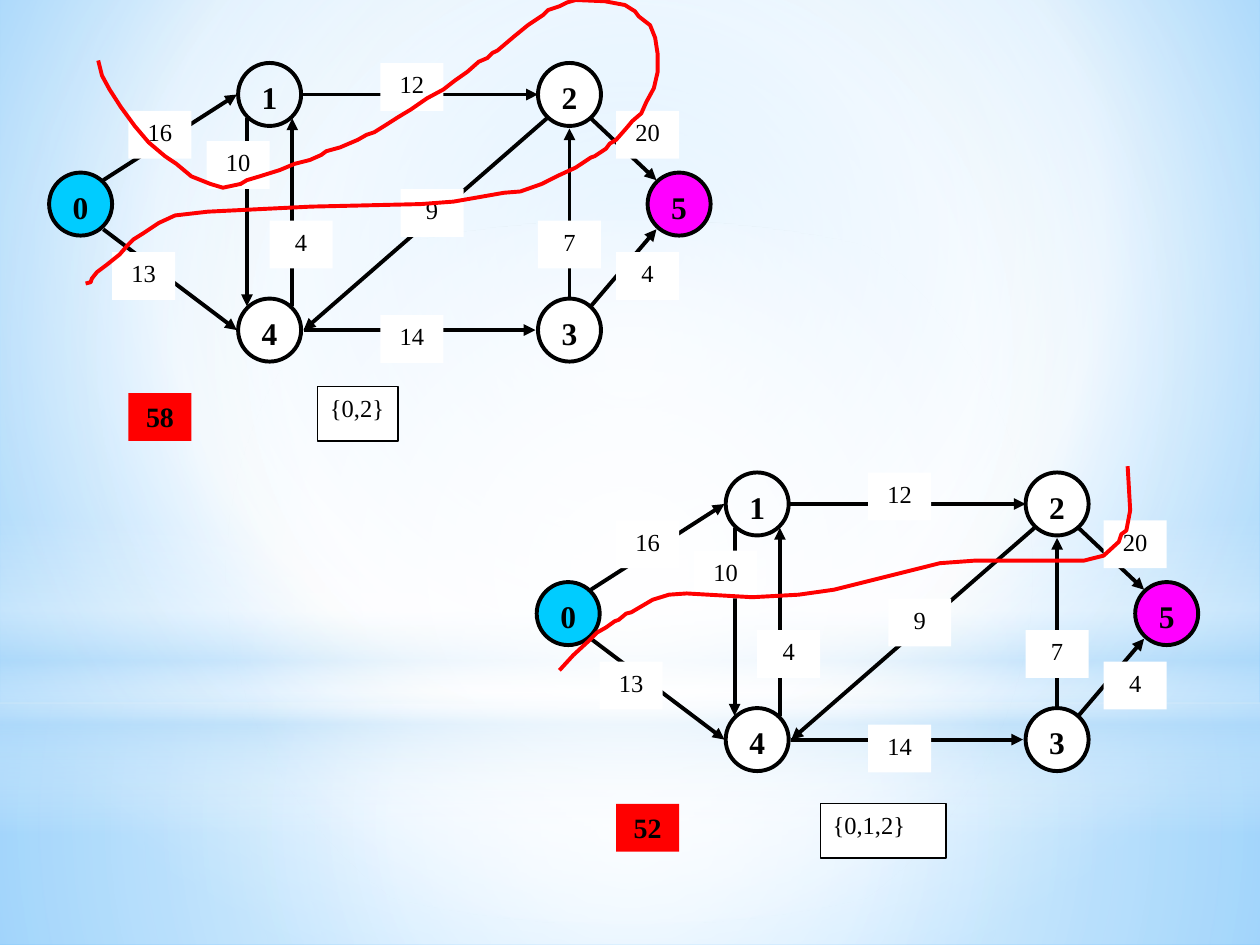
from lxml import etree
from pptx import Presentation
from pptx import util as u
from pptx.dml.color import RGBColor
from pptx.enum import shapes, text
from pptx.oxml import ns

OVAL = shapes.MSO_SHAPE.OVAL
RECT = shapes.MSO_SHAPE.RECTANGLE
BLACK, WHITE, RED, PALE = "000000", "FFFFFF", "FF0000", "B4DCFA"


def color(code):
    return RGBColor.from_string(code)


def add(parent, tag, **attrs):
    return etree.SubElement(parent, ns.qn(tag), {k: str(v) for k, v in attrs.items()})


class Board:
    font = "Times New Roman"
    width = 2.25

    def __init__(self, slide):
        self.slide = slide

    def shade(self, fill, root, stops, focus=None):
        fill.gradient()
        grad = root.find(".//" + ns.qn("a:gradFill"))
        grad.clear()
        grad.set("rotWithShape", "1")
        items = add(grad, "a:gsLst")
        for pos, code, alpha in stops:
            stop = add(items, "a:gs", pos=pos * 1000)
            tint = add(stop, "a:srgbClr", val=code)
            if alpha < 100:
                add(tint, "a:alpha", val=alpha * 1000)
        if focus:
            way = add(grad, "a:path", path="circle")
            add(way, "a:fillToRect", **{k: v * 1000 for k, v in zip("ltrb", focus)})
        else:
            add(grad, "a:lin", ang=5400000, scaled=0)

    def shape(self, kind, x, y, w, h, fill=None, line=None, width=width):
        item = self.slide.shapes.add_shape(kind, *map(u.Inches, (x, y, w, h)))
        item.shadow.inherit = False
        if fill:
            item.fill.solid()
            item.fill.fore_color.rgb = color(fill)
        else:
            item.fill.background()
        self.stroke(item, line, width)
        return item

    def stroke(self, item, line, width=width):
        if line:
            item.line.color.rgb = color(line)
            item.line.width = u.Pt(width)
        else:
            item.line.fill.background()

    def glow(self, kind, y, h, stops, focus=None):
        item = self.shape(kind, 0, y, 10, h)
        self.shade(item.fill, item.element, stops, focus)

    def letter(self, item, words, size, bold=False, align=text.PP_ALIGN.CENTER, wrap=True):
        frame = item.text_frame
        frame.text = words
        frame.word_wrap = wrap
        frame.vertical_anchor = text.MSO_ANCHOR.TOP
        para = frame.paragraphs[0]
        para.alignment = align
        font = para.runs[0].font
        font.name, font.size, font.bold = self.font, u.Pt(size), bold
        font.color.rgb = color(BLACK)

    def node(self, name, x, y, fill):
        self.letter(self.shape(OVAL, x, y, 0.5, 0.5, fill, BLACK), name, 18, True)

    def label(self, words, x, y):
        self.letter(self.shape(RECT, x, y, 0.5, 0.38, WHITE), words, 14)

    def total(self, words, x, y):
        self.letter(self.shape(RECT, x, y, 0.5, 0.38, RED), words, 16, True)

    def answer(self, words, x, y, w, wrap):
        box = self.shape(RECT, x, y, w, 0.43, WHITE, BLACK, 0.75)
        self.letter(box, words, 14, align=text.PP_ALIGN.LEFT, wrap=wrap)

    def arrow(self, x1, y1, x2, y2):
        item = self.slide.shapes.add_connector(
            shapes.MSO_CONNECTOR.STRAIGHT, *map(u.Inches, (x1, y1, x2, y2)))
        self.stroke(item, BLACK)
        props = item.element.spPr
        add(props.find(ns.qn("a:ln")), "a:tailEnd", type="triangle")
        add(props, "a:effectLst")

    def curve(self, points):
        dots = [(u.Inches(x), u.Inches(y)) for x, y in points]
        draft = self.slide.shapes.build_freeform(*dots[0])
        draft.add_line_segments(dots[1:], close=False)
        item = draft.convert_to_shape()
        item.shadow.inherit = False
        item.fill.background()
        self.stroke(item, RED)

    def graph(self, dx, dy):
        for name, x, y, fill in NODES:
            self.node(name, x + dx, y + dy, fill)
        for x1, y1, x2, y2 in EDGES:
            self.arrow(x1 + dx, y1 + dy, x2 + dx, y2 + dy)
        for words, x, y in COSTS:
            self.label(words, x + dx, y + dy)


NODES = [("1", 1.89, 0.5, None), ("4", 1.89, 2.37, WHITE), ("3", 4.27, 2.37, WHITE),
         ("2", 4.27, 0.5, WHITE), ("0", 0.39, 1.37, "00CCFF"), ("5", 5.14, 1.37, "FF00FF")]
EDGES = [(2.39, 0.75, 4.27, 0.75), (2.41, 2.62, 4.25, 2.62), (0.82, 1.43, 1.88, 0.75),
         (0.82, 1.82, 1.88, 2.62), (1.96, 0.94, 1.96, 2.43), (2.32, 2.43, 2.32, 0.94),
         (4.34, 0.94, 2.41, 2.62), (4.52, 2.36, 4.52, 1.02), (4.69, 0.94, 5.21, 1.43),
         (4.69, 2.43, 5.21, 1.82)]
COSTS = [("16", 1.02, 0.88), ("12", 3.02, 0.5), ("14", 3.02, 2.5), ("13", 0.89, 2),
         ("9", 3.18, 1.5), ("4", 2.14, 1.75), ("10", 1.64, 1.12), ("4", 4.89, 2),
         ("7", 4.27, 1.75), ("20", 4.89, 0.88)]
LOOP = [(0.78, 0.48), (0.81, 0.6), (0.87, 0.71), (0.96, 0.85), (1.07, 1), (1.18, 1.13),
        (1.31, 1.24), (1.4, 1.3), (1.52, 1.4), (1.57, 1.42), (1.67, 1.46), (1.77, 1.49),
        (1.91, 1.46), (1.96, 1.43), (2.06, 1.4), (2.22, 1.35), (2.34, 1.3), (2.46, 1.27),
        (2.55, 1.23), (2.59, 1.2), (2.7, 1.17), (2.84, 1.11), (2.91, 1.07), (2.97, 1.05),
        (3.05, 1), (3.16, 0.93), (3.26, 0.87), (3.39, 0.78), (3.52, 0.71), (3.61, 0.64),
        (3.71, 0.57), (3.8, 0.49), (3.87, 0.46), (3.91, 0.42), (3.95, 0.4), (4.08, 0.29),
        (4.19, 0.2), (4.31, 0.12), (4.35, 0.08), (4.44, 0.05), (4.5, 0.02), (4.57, 0),
        (4.8, 0.01), (4.96, 0.04), (5.04, 0.09), (5.07, 0.13), (5.16, 0.2), (5.2, 0.3),
        (5.22, 0.43), (5.22, 0.57), (5.19, 0.7), (5.13, 0.81), (5.09, 0.9), (5.02, 0.96),
        (4.97, 1.02), (4.89, 1.11), (4.84, 1.14), (4.81, 1.18), (4.72, 1.24), (4.69, 1.25),
        (4.57, 1.33), (4.44, 1.39), (4.3, 1.46), (4.13, 1.52), (4, 1.53), (3.83, 1.56),
        (3.6, 1.6), (3.34, 1.62), (2.9, 1.63), (2.47, 1.64), (1.65, 1.68), (1.39, 1.71),
        (1.26, 1.77), (1.14, 1.85), (1.06, 1.9), (1.01, 1.95), (0.95, 2.02), (0.85, 2.1),
        (0.77, 2.16), (0.73, 2.21), (0.72, 2.24), (0.68, 2.25)]
CUT = [(4.44, 5.32), (4.55, 5.2), (4.68, 5.08), (4.74, 5.02), (4.81, 4.98), (4.88, 4.93),
       (4.91, 4.92), (4.97, 4.87), (5.01, 4.86), (5.18, 4.76), (5.31, 4.72), (5.45, 4.71),
       (5.97, 4.74), (6.34, 4.72), (6.62, 4.68), (6.9, 4.61), (7.3, 4.51), (7.46, 4.47),
       (7.73, 4.45), (8.6, 4.45), (8.76, 4.41), (8.88, 4.3), (8.9, 4.24), (8.94, 4.21),
       (8.97, 4.05), (8.96, 3.87), (8.95, 3.7)]


def main():
    deck = Presentation()
    deck.slide_width, deck.slide_height = u.Inches(10), u.Inches(7.5)
    slide = deck.slides.add_slide(deck.slide_layouts[6])
    board = Board(slide)
    board.shade(slide.background.fill, slide.element,
                [(0, "9ED5FF", 100), (60, WHITE, 100), (100, "5BB9FF", 100)],
                (20, 10, 20, 60))
    mid = (50, 50, 50, 50)
    board.glow(RECT, 5.58, 1.92, [(0, WHITE, 91), (37, WHITE, 76), (100, PALE, 79)], mid)
    board.glow(RECT, 0, 5.58, [(0, WHITE, 89), (48, WHITE, 62), (100, PALE, 79)], mid)
    board.glow(RECT, 4.12, 2.5, [(0, WHITE, 0), (29, WHITE, 30), (45, PALE, 40),
                                 (55, WHITE, 26), (65, PALE, 60), (100, WHITE, 0)])
    board.glow(OVAL, 1.75, 5.58, [(0, WHITE, 100), (56, WHITE, 0)], mid)

    board.graph(0, 0)
    board.total("58", 1.02, 3.12)
    board.answer("{0,2}", 2.52, 3.07, 0.64, False)
    board.curve(LOOP)

    board.graph(3.87, 3.25)
    board.total("52", 4.89, 6.38)
    board.curve(CUT)
    board.answer("{0,1,2}", 6.51, 6.38, 1, True)
    deck.save("out.pptx")


if __name__ == "__main__":
    main()
